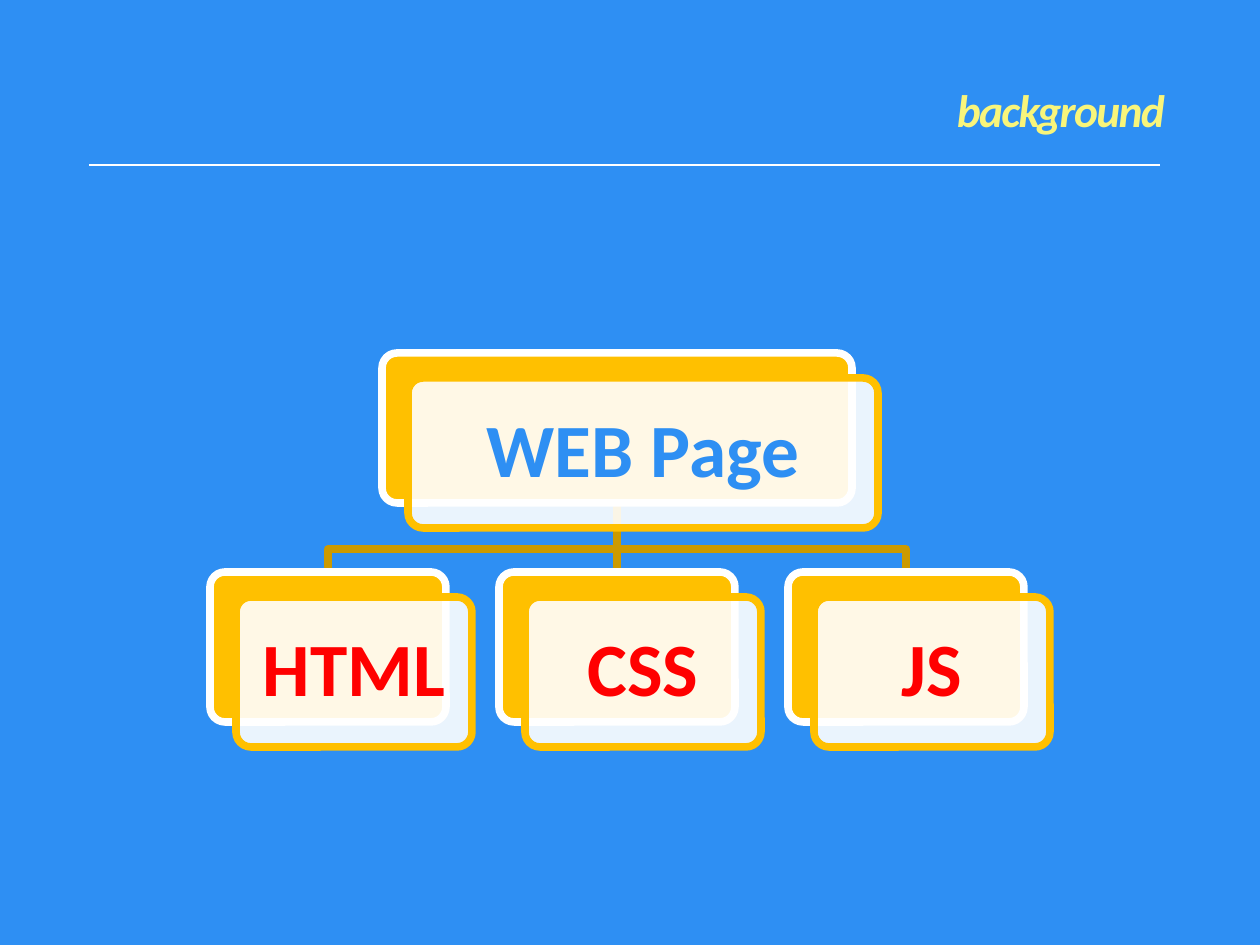
from dataclasses import dataclass

from lxml.etree import SubElement
from pptx import Presentation
from pptx.dml.color import RGBColor
from pptx.enum.shapes import MSO_CONNECTOR as CONN, MSO_SHAPE as SHAPE
from pptx.enum.text import MSO_ANCHOR as ANCHOR, MSO_AUTO_SIZE as AUTO, PP_ALIGN as ALIGN
from pptx.oxml.ns import qn
from pptx.shapes.autoshape import Shape
from pptx.shapes.connector import Connector
from pptx.slide import Slide
from pptx.text.text import TextFrame
from pptx.util import Emu, Pt

BLUE = RGBColor(0x2E, 0x8F, 0xF3)
WHITE = RGBColor(0xFF, 0xFF, 0xFF)
AMBER = RGBColor(0xFF, 0xC0, 0x00)
OCHRE = RGBColor(0xCC, 0x9A, 0x00)
RED = RGBColor(0xFF, 0x00, 0x00)
YELLOW = RGBColor(0xF8, 0xF5, 0x7B)

PX_PER_INCH = 126
FONT = "Calibri"
BORDER = Pt(4.33)
NODE_H = 150
SHIFT_X, SHIFT_Y = 26, 25
CHILD_X, CHILD_Y, CHILD_W, CHILD_PITCH = 210, 572, 236, 289
BRANCH_Y = 549


@dataclass(frozen=True)
class Node:
    text: str
    x: int
    y: int
    w: int
    color: RGBColor

    @property
    def center(self) -> int:
        return self.x + self.w // 2

    @property
    def bottom(self) -> int:
        return self.y + NODE_H


def px(n: int) -> Emu:
    return Emu(round(n * 914400 / PX_PER_INCH))


def write(tf: TextFrame, text: str, size: int, color: RGBColor, align: ALIGN, inset: int):
    tf.word_wrap = True
    tf.auto_size = AUTO.NONE
    tf.vertical_anchor = ANCHOR.MIDDLE
    tf.margin_left = tf.margin_right = tf.margin_top = tf.margin_bottom = px(inset)
    p = tf.paragraphs[0]
    p.alignment = align
    p.line_spacing = 0.9
    r = p.add_run()
    r.text = text
    r.font.name = FONT
    r.font.size = Pt(size)
    r.font.bold = True
    r.font.color.rgb = color
    return r


def add_title(s: Slide, text: str) -> None:
    sp = s.shapes.title
    sp.left, sp.top, sp.width, sp.height = px(84), px(68), px(1081), px(89)
    r = write(sp.text_frame, text, 26, YELLOW, ALIGN.RIGHT, 0)
    r.font.italic = True
    r.font._element.set("spc", "-100")


def add_line(s: Slide, x1: int, y1: int, x2: int, y2: int, color: RGBColor, width: Pt) -> Connector:
    c = s.shapes.add_connector(CONN.STRAIGHT, px(x1), px(y1), px(x2), px(y2))
    c.line.color.rgb = color
    c.line.width = width
    SubElement(c._element.spPr, qn("a:effectLst"))
    return c


def add_branch(s: Slide, parent: Node, child: Node) -> None:
    fb = s.shapes.build_freeform(parent.center, parent.bottom, scale=px(1))
    fb.add_line_segments(
        [(parent.center, BRANCH_Y), (child.center, BRANCH_Y), (child.center, child.y)],
        close=False,
    )
    sp = fb.convert_to_shape()
    sp.shadow.inherit = False
    sp.fill.background()
    sp.line.color.rgb = OCHRE
    sp.line.width = BORDER


def add_panel(s: Slide, x: int, y: int, w: int, fill: RGBColor, line: RGBColor) -> Shape:
    sp = s.shapes.add_shape(SHAPE.ROUNDED_RECTANGLE, px(x), px(y), px(w), px(NODE_H))
    sp.adjustments[0] = 0.1
    sp.shadow.inherit = False
    sp.fill.solid()
    sp.fill.fore_color.rgb = fill
    sp.line.color.rgb = line
    sp.line.width = BORDER
    return sp


def add_node(s: Slide, node: Node) -> Shape:
    back = add_panel(s, node.x, node.y, node.w, AMBER, WHITE)
    front = add_panel(s, node.x + SHIFT_X, node.y + SHIFT_Y, node.w, WHITE, AMBER)
    clr = front._element.spPr.find(qn("a:solidFill")).find(qn("a:srgbClr"))
    SubElement(clr, qn("a:alpha")).set("val", "90000")
    write(front.text_frame, node.text, 43, node.color, ALIGN.CENTER, 22)
    return back


def main() -> None:
    prs = Presentation()
    prs.slide_width, prs.slide_height = px(1260), px(945)
    s = prs.slides.add_slide(prs.slide_layouts[5])
    s.background.fill.solid()
    s.background.fill.fore_color.rgb = BLUE

    add_title(s, "background")
    add_line(s, 89, 165, 1160, 165, WHITE, Pt(1))

    root = Node("WEB Page", 382, 353, 470, BLUE)
    html, css, js = [
        Node(text, CHILD_X + i * CHILD_PITCH, CHILD_Y, CHILD_W, RED)
        for i, text in enumerate(("HTML", "CSS", "JS"))
    ]
    for child in (js, html):
        add_branch(s, root, child)
    stem = add_line(s, root.center, root.bottom, css.center, css.y, OCHRE, BORDER)

    root_sp, _, css_sp, _ = [add_node(s, node) for node in (root, html, css, js)]
    stem.begin_connect(root_sp, 2)
    stem.end_connect(css_sp, 0)
    prs.save("out.pptx")


if __name__ == "__main__":
    main()
